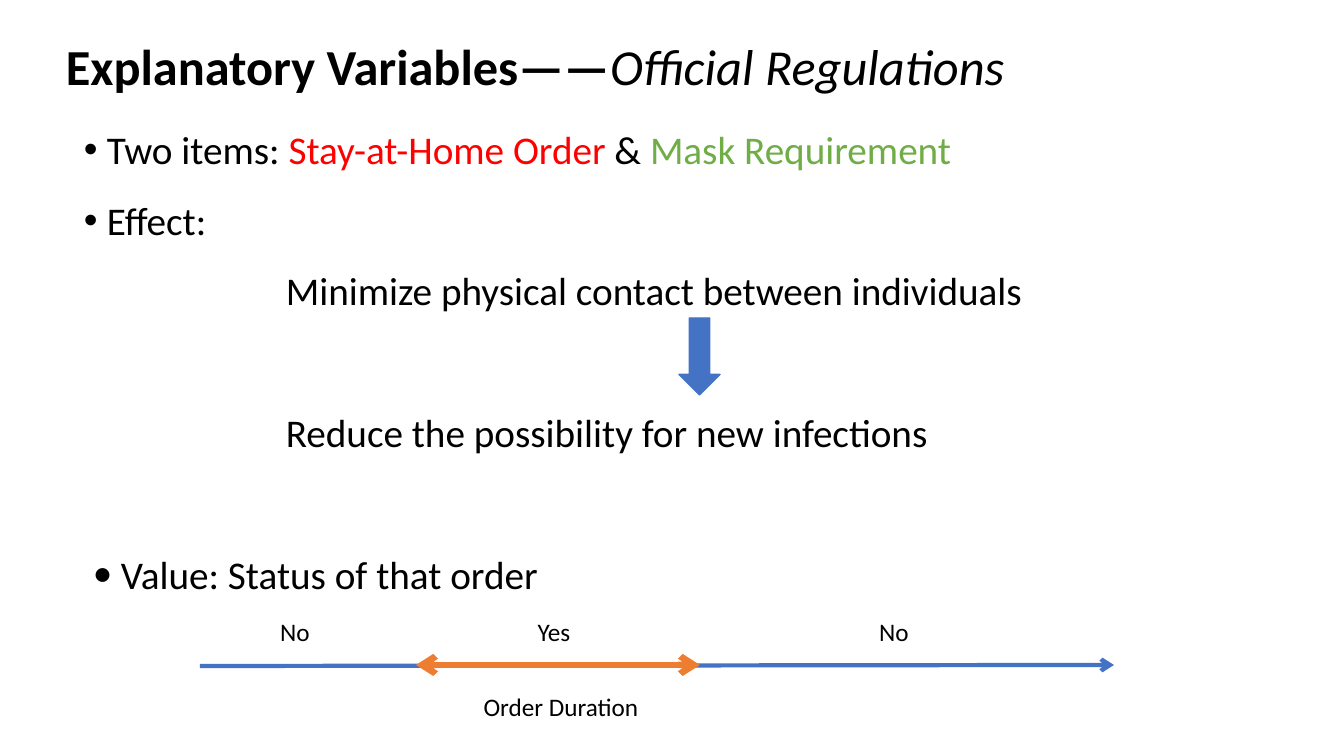
from dataclasses import dataclass

from lxml import etree
from pptx import Presentation
from pptx import util as u
from pptx.dml.color import RGBColor
from pptx.enum import shapes, text
from pptx.oxml.ns import qn


@dataclass(frozen=True)
class Theme:
    font: str = "Calibri"
    bullet_font: str = "Arial"
    ink: str = "000000"
    red: str = "FF0000"
    green: str = "70AD47"
    blue: str = "4472C4"
    orange: str = "ED7D31"
    title: int = 36
    body: int = 28
    label: int = 18


THEME = Theme()
EMU_PER_PX = 914400 / 100.8


def px(length):
    return u.Emu(round(length * EMU_PER_PX))


def add_box(page, left, top, width, height):
    box = page.shapes.add_textbox(px(left), px(top), px(width), px(height))
    box.text_frame.word_wrap = True
    return box.text_frame


def add_span(para, words, size, color=THEME.ink, bold=False, italic=False):
    span = para.add_run()
    span.text = words
    span.font.name = THEME.font
    span.font.size = u.Pt(size)
    span.font.bold = bold
    span.font.italic = italic
    span.font.color.rgb = RGBColor.from_string(color)


def set_indent(para, margin, hanging=0, bullet_font=None):
    properties = para._p.get_or_add_pPr()
    properties.set("marL", str(px(margin)))
    properties.set("indent", str(-px(hanging)))
    if bullet_font:
        etree.SubElement(properties, qn("a:buFont"), typeface=bullet_font)
        etree.SubElement(properties, qn("a:buChar"), char="•")


def add_title(page):
    para = add_box(page, 56, 37, 1288, 60).paragraphs[0]
    para.line_spacing = 0.9
    add_span(para, "Explanatory Variables——", THEME.title, bold=True)
    add_span(para, "Official Regulations", THEME.title, italic=True)


def add_body(page):
    bullet = dict(margin=23, hanging=23, bullet_font=THEME.bullet_font)
    inset_bullet = dict(margin=37, hanging=28, bullet_font=THEME.font)
    step = dict(margin=202)
    skipped_line = 71
    items = [
        (bullet, 0, [("Two items: ", THEME.ink),
                     ("Stay-at-Home Order ", THEME.red),
                     ("& ", THEME.ink),
                     ("Mask Requirement", THEME.green)]),
        (bullet, 0, [("Effect:", THEME.ink)]),
        (step, 0, [("Minimize physical contact between individuals", THEME.ink)]),
        (step, skipped_line,
         [("Reduce the possibility for new infections", THEME.ink)]),
        (inset_bullet, skipped_line, [("Value: Status of that order", THEME.ink)]),
    ]
    frame = add_box(page, 74, 97, 1215, 651)
    for index, (indent, gap, spans) in enumerate(items):
        para = frame.add_paragraph() if index else frame.paragraphs[0]
        para.line_spacing = 1.5
        para.space_before = px(gap)
        set_indent(para, **indent)
        for words, color in spans:
            add_span(para, words, THEME.body, color)


def add_down_arrow(page, left, top, width, height):
    arrow = page.shapes.add_shape(shapes.MSO_SHAPE.DOWN_ARROW,
                                  px(left), px(top), px(width), px(height))
    color = RGBColor.from_string(THEME.blue)
    arrow.shadow.inherit = False
    arrow.fill.solid()
    arrow.fill.fore_color.rgb = color
    arrow.line.color.rgb = color
    arrow.line.width = u.Pt(1)


def add_arrow_line(page, start, end, color, weight, ends):
    line = page.shapes.add_connector(shapes.MSO_CONNECTOR.STRAIGHT,
                                     *map(px, start + end))
    line.line.color.rgb = RGBColor.from_string(color)
    line.line.width = u.Pt(weight)
    properties = line._element.spPr
    outline = properties.find(qn("a:ln"))
    for name in ends:
        etree.SubElement(outline, qn(f"a:{name}"), type="arrow")
    etree.SubElement(properties, qn("a:effectLst"))


def add_label(page, words, left, top):
    para = add_box(page, left, top, 192, 40).paragraphs[0]
    para.alignment = text.PP_ALIGN.CENTER
    add_span(para, words, THEME.label)


def add_timeline(page):
    add_arrow_line(page, (200, 666), (1114, 665), THEME.blue, 3, ["tailEnd"])
    add_arrow_line(page, (416, 665), (700, 665), THEME.orange, 4.5,
                   ["headEnd", "tailEnd"])
    for words, left, top in [("Yes", 458, 611), ("Order Duration", 465, 686),
                             ("No", 798, 611), ("No", 199, 611)]:
        add_label(page, words, left, top)


def main():
    deck = Presentation()
    deck.slide_width = px(1344)
    deck.slide_height = px(756)
    page = deck.slides.add_slide(deck.slide_layouts[6])
    add_title(page)
    add_body(page)
    add_down_arrow(page, 679, 318, 41, 77)
    add_timeline(page)
    deck.save("out.pptx")


if __name__ == "__main__":
    main()
